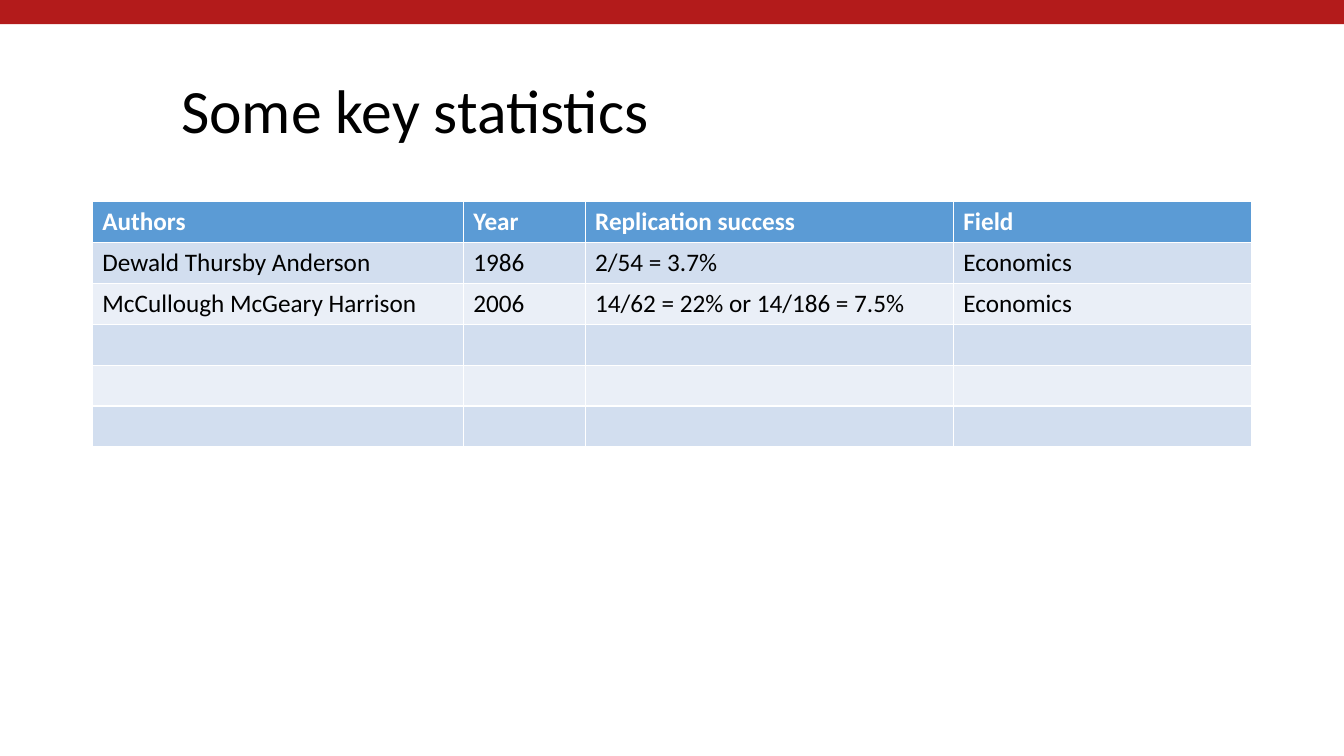
"""Build the slide with a table of replication statistics."""
from pptx import Presentation
from pptx.dml.color import RGBColor
from pptx.enum.shapes import MSO_SHAPE
from pptx.enum.text import MSO_ANCHOR
from pptx.util import Pt

BANNER_RED = RGBColor(0xB3, 0x1B, 0x1B)
HEADER_BLUE = RGBColor(0x5B, 0x9B, 0xD5)
BAND_DARK = RGBColor(0xD2, 0xDE, 0xEF)
BAND_LIGHT = RGBColor(0xEA, 0xEF, 0xF7)
BLACK = RGBColor(0, 0, 0)
WHITE = RGBColor(0xFF, 0xFF, 0xFF)

COLUMN_WIDTHS = [265, 87, 263, 213]
ROW_HEIGHT = 29.2
ROW_COUNT = 6
STUDIES = [
    ["Authors", "Year", "Replication success", "Field"],
    ["Dewald Thursby Anderson", "1986", "2/54 = 3.7%", "Economics"],
    ["McCullough McGeary Harrison", "2006", "14/62 = 22% or 14/186 = 7.5%", "Economics"],
]


def write(paragraph, text, **font_format):
    span = paragraph.add_run()
    span.text = text
    color = font_format.pop("color")
    for name, value in font_format.items():
        setattr(span.font, name, value)
    span.font.name = "Calibri"
    span.font.color.rgb = color


deck = Presentation()
deck.slide_width, deck.slide_height = Pt(960), Pt(540)
page = deck.slides.add_slide(deck.slide_layouts[6])

banner = page.shapes.add_shape(MSO_SHAPE.RECTANGLE, 0, 0, deck.slide_width, Pt(17.3))
banner.shadow.inherit = False
banner.fill.solid()
banner.fill.fore_color.rgb = BANNER_RED
banner.line.fill.background()

title_box = page.shapes.add_textbox(Pt(122.4), Pt(28.8), Pt(770.4), Pt(104.4))
title_frame = title_box.text_frame
title_frame.word_wrap = True
title_frame.vertical_anchor = MSO_ANCHOR.MIDDLE
title = title_frame.paragraphs[0]
title.line_spacing = 0.9
write(title, "Some key statistics", size=Pt(44), color=BLACK)

table = page.shapes.add_table(
    ROW_COUNT, len(COLUMN_WIDTHS), Pt(66), Pt(144),
    Pt(sum(COLUMN_WIDTHS)), Pt(ROW_COUNT * ROW_HEIGHT),
).table
for column, width in zip(table.columns, COLUMN_WIDTHS):
    column.width = Pt(width)

for row_index, row in enumerate(table.rows):
    row.height = Pt(ROW_HEIGHT)
    is_header = row_index == 0
    band = HEADER_BLUE if is_header else BAND_DARK if row_index % 2 else BAND_LIGHT
    for cell in row.cells:
        cell.fill.solid()
        cell.fill.fore_color.rgb = band

for row, texts in zip(table.rows, STUDIES):
    is_header = texts is STUDIES[0]
    for cell, text in zip(row.cells, texts):
        write(cell.text_frame.paragraphs[0], text, size=Pt(18), bold=is_header,
              color=WHITE if is_header else BLACK)

deck.save("out.pptx")
